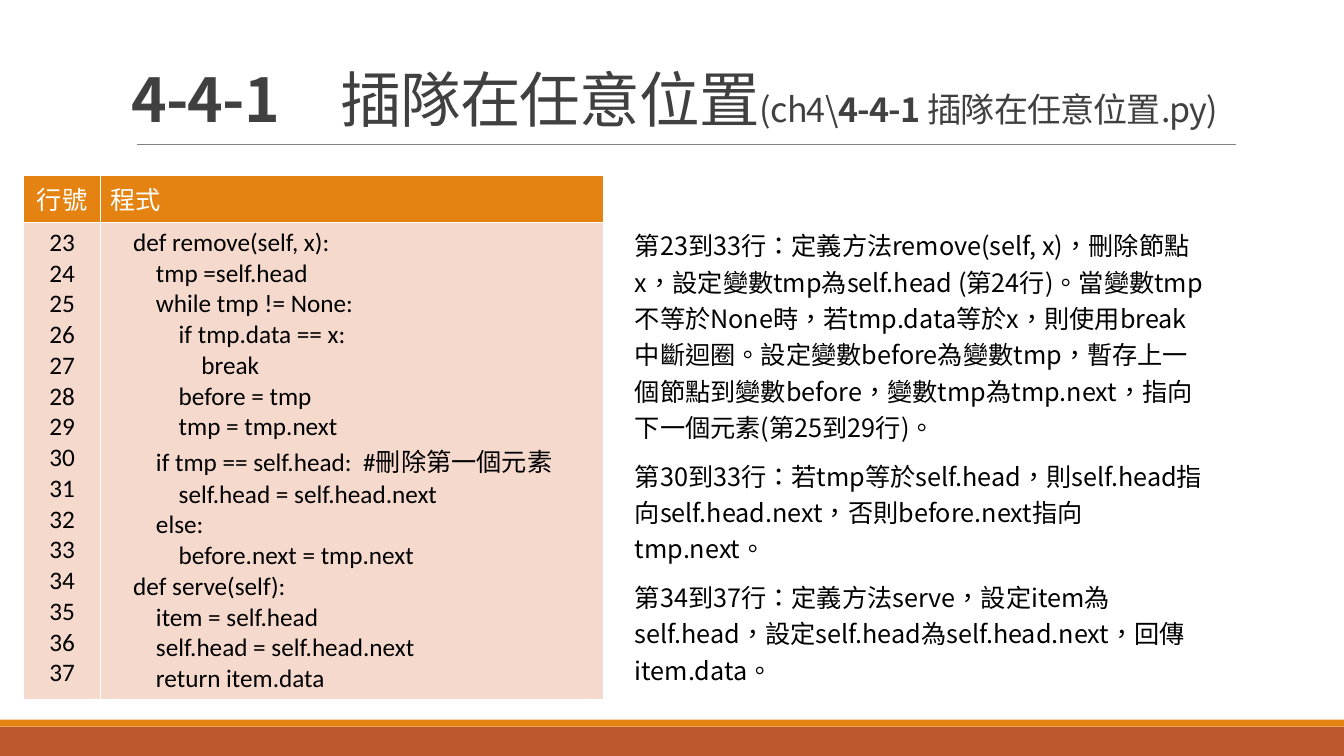
from dataclasses import dataclass

import pptx
import pptx.dml.color
import pptx.enum.shapes
import pptx.enum.text
import pptx.oxml
import pptx.oxml.ns
import pptx.util

ALIGN = pptx.enum.text.PP_ALIGN
ANCHOR = pptx.enum.text.MSO_ANCHOR


@dataclass(frozen=True)
class Theme:
    rust: str = "BD582C"
    orange: str = "E48312"
    peach: str = "F5D9CC"
    rule: str = "808080"
    heading: str = "404040"
    black: str = "000000"
    white: str = "FFFFFF"
    cjk: str = "Noto Sans CJK SC"
    latin: str = "Calibri"
    language: str = "zh-TW"
    title_size: float = 43.2
    file_size: float = 24.3
    body_size: float = 18


@dataclass(frozen=True)
class Style:
    size: float
    color: str
    font: str
    bold: bool = False
    tracking: int = 0


@dataclass(frozen=True)
class Spacing:
    line: float = 1.0
    before: float = 0
    after: float = 0


@dataclass(frozen=True)
class Box:
    col: float
    row: float
    cols: float
    rows: float


@dataclass(frozen=True)
class Band:
    box: Box
    color: str


@dataclass(frozen=True)
class TitlePart:
    text: str
    size: float
    bold: bool = False


@dataclass(frozen=True)
class Column:
    heading: str
    lines: list[str]
    cols: float
    align: ALIGN


THEME = Theme()
WIDTH, HEIGHT = pptx.util.Inches(13.33), pptx.util.Inches(7.5)
COLS, ROWS = 40, 30

BANDS = [
    Band(Box(0, 28.84, COLS, 1.16), THEME.rust),
    Band(Box(0, 28.56, COLS, 0.28), THEME.orange),
]
TITLE_BOX = Box(3.6, 1.24, 33, 4.32)
RULE = Box(4.08, 5.72, 32.7, 0)
LISTING_BOX = Box(0.71, 6.96, 17.25, 20.74)
HEADER_ROWS = 1.86
NOTES_BOX = Box(18.6, 8.72, 17.73, 17.4)

TITLE_PARTS = [
    TitlePart("4-4-1　", THEME.title_size, True),
    TitlePart("插隊在任意位置", THEME.title_size),
    TitlePart("(ch4\\", THEME.file_size),
    TitlePart("4-4-1 ", THEME.file_size, True),
    TitlePart("插隊在任意位置.py)", THEME.file_size),
]

CODE = """\
    def remove(self, x):
        tmp =self.head
        while tmp != None:
            if tmp.data == x:
                break
            before = tmp
            tmp = tmp.next
        if tmp == self.head:  #刪除第一個元素
            self.head = self.head.next
        else:
            before.next = tmp.next
    def serve(self):
        item = self.head
        self.head = self.head.next
        return item.data""".split("\n")
FIRST_LINE = 23
LISTING = [
    Column("行號", [str(FIRST_LINE + i) for i in range(len(CODE))], 2.28, ALIGN.CENTER),
    Column("程式", CODE, 14.97, ALIGN.LEFT),
]

NOTES = [
    "第23到33行：定義方法remove(self, x)，刪除節點x，設定變數tmp為self.head (第24行)。"
    "當變數tmp不等於None時，若tmp.data等於x，則使用break中斷迴圈。"
    "設定變數before為變數tmp，暫存上一個節點到變數before，變數tmp為tmp.next，"
    "指向下一個元素(第25到29行)。",
    "第30到33行：若tmp等於self.head，則self.head指向self.head.next，"
    "否則before.next指向tmp.next。",
    "第34到37行：定義方法serve，設定item為self.head，"
    "設定self.head為self.head.next，回傳item.data。",
]


def across(cols: float) -> int:
    return round(WIDTH * cols / COLS)


def down(rows: float) -> int:
    return round(HEIGHT * rows / ROWS)


def place(box: Box) -> tuple[int, int, int, int]:
    return across(box.col), down(box.row), across(box.cols), down(box.rows)


def rgb(color: str) -> pptx.dml.color.RGBColor:
    return pptx.dml.color.RGBColor.from_string(color)


def add_run(paragraph, text: str, style: Style) -> None:
    run = paragraph.add_run()
    run.text = text
    run.font.size = pptx.util.Pt(style.size)
    run.font.bold = style.bold
    run.font.color.rgb = rgb(style.color)
    run.font.name = style.font
    properties = run.font._element
    properties.set("lang", THEME.language)
    if style.tracking:
        properties.set("spc", str(style.tracking))
    latin = properties.find(pptx.oxml.ns.qn("a:latin"))
    latin.addnext(pptx.oxml.parse_xml(
        f'<a:ea {pptx.oxml.ns.nsdecls("a")} typeface="{THEME.cjk}"/>'))


def add_paragraphs(frame, texts: list[str], style: Style, align: ALIGN,
                   spacing: Spacing = Spacing()) -> None:
    for index, text in enumerate(texts):
        paragraph = frame.add_paragraph() if index else frame.paragraphs[0]
        paragraph.alignment = align
        paragraph.line_spacing = spacing.line
        paragraph.space_before = pptx.util.Pt(spacing.before if index else 0)
        paragraph.space_after = pptx.util.Pt(spacing.after)
        add_run(paragraph, text, style)


def add_band(slide, band: Band) -> None:
    shape = slide.shapes.add_shape(
        pptx.enum.shapes.MSO_SHAPE.RECTANGLE, *place(band.box))
    shape.shadow.inherit = False
    shape.fill.solid()
    shape.fill.fore_color.rgb = rgb(band.color)
    shape.line.fill.background()


def add_rule(slide, box: Box) -> None:
    left, top, width, height = place(box)
    rule = slide.shapes.add_connector(
        pptx.enum.shapes.MSO_CONNECTOR.STRAIGHT, left, top, left + width, top + height)
    rule.line.color.rgb = rgb(THEME.rule)
    rule.line.width = pptx.util.Pt(0.5)
    rule._element.spPr.append(
        pptx.oxml.parse_xml(f'<a:effectLst {pptx.oxml.ns.nsdecls("a")}/>'))


def fill_title(title) -> None:
    title.left, title.top, title.width, title.height = place(TITLE_BOX)
    frame = title.text_frame
    frame.word_wrap = True
    frame.auto_size = pptx.enum.text.MSO_AUTO_SIZE.NONE
    frame.vertical_anchor = ANCHOR.BOTTOM
    paragraph = frame.paragraphs[0]
    paragraph.alignment = ALIGN.LEFT
    paragraph.line_spacing = 0.85
    paragraph.space_before = pptx.util.Pt(0)
    for part in TITLE_PARTS:
        add_run(paragraph, part.text,
                Style(part.size, THEME.heading, THEME.cjk, part.bold, -50))


def fill_cell(cell, texts: list[str], color: str, fill: str, align: ALIGN) -> None:
    borders = cell._tc.get_or_add_tcPr()
    for side in ("lnL", "lnR", "lnT", "lnB"):
        borders.append(pptx.oxml.parse_xml(
            f'<a:{side} {pptx.oxml.ns.nsdecls("a")} w="{pptx.util.Pt(1)}">'
            f'<a:solidFill><a:srgbClr val="{THEME.white}"/></a:solidFill></a:{side}>'))
    cell.fill.solid()
    cell.fill.fore_color.rgb = rgb(fill)
    add_paragraphs(cell.text_frame, texts,
                   Style(THEME.body_size, color, THEME.latin), align)


def add_listing(slide) -> None:
    table = slide.shapes.add_table(2, len(LISTING), *place(LISTING_BOX)).table
    table.first_row = table.horz_banding = False
    table.rows[0].height = down(HEADER_ROWS)
    table.rows[1].height = down(LISTING_BOX.rows - HEADER_ROWS)
    for index, column in enumerate(LISTING):
        table.columns[index].width = across(column.cols)
        fill_cell(table.cell(0, index), [column.heading],
                  THEME.white, THEME.orange, column.align)
        fill_cell(table.cell(1, index), column.lines,
                  THEME.black, THEME.peach, column.align)


def add_notes(slide) -> None:
    frame = slide.shapes.add_textbox(*place(NOTES_BOX)).text_frame
    frame.word_wrap = True
    frame.auto_size = pptx.enum.text.MSO_AUTO_SIZE.SHAPE_TO_FIT_TEXT
    add_paragraphs(frame, NOTES, Style(THEME.body_size, THEME.black, THEME.cjk),
                   ALIGN.LEFT, Spacing(line=1.2, before=6, after=3))


def main() -> None:
    deck = pptx.Presentation()
    deck.slide_width, deck.slide_height = WIDTH, HEIGHT
    slide = deck.slides.add_slide(deck.slide_layouts[5])
    for band in BANDS:
        add_band(slide, band)
    add_rule(slide, RULE)
    fill_title(slide.shapes.title)
    add_listing(slide)
    add_notes(slide)
    deck.save("out.pptx")


if __name__ == "__main__":
    main()
